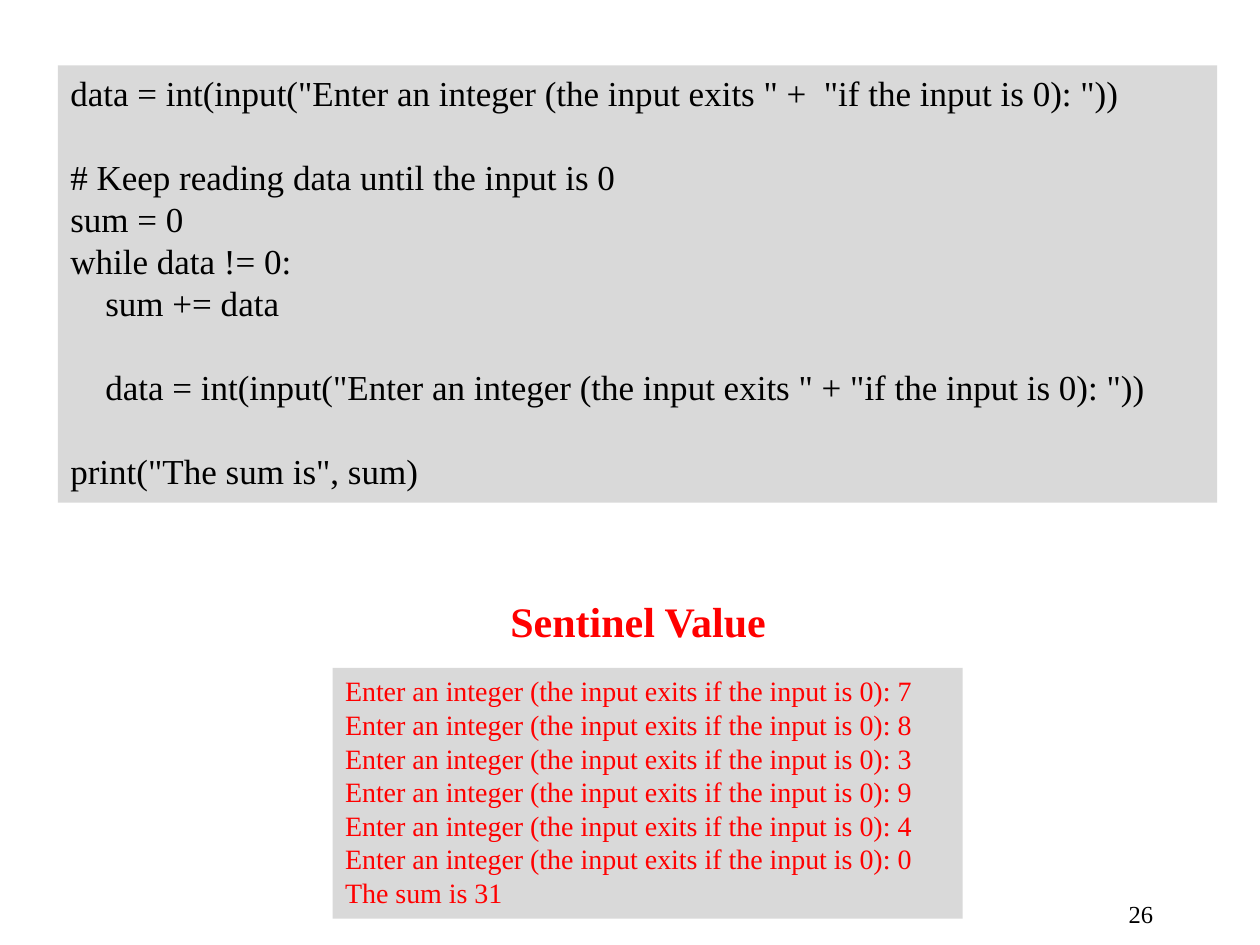
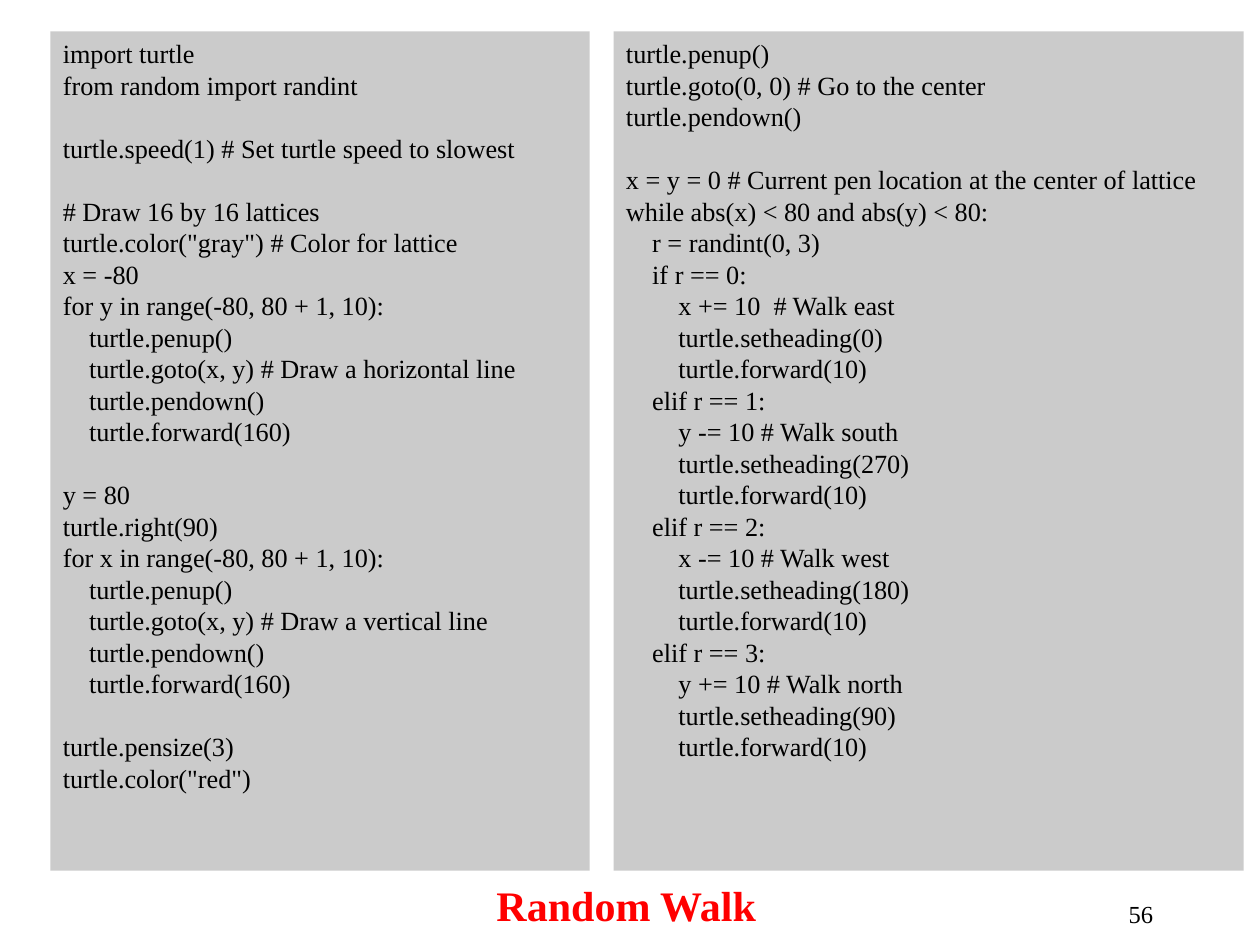
"""Build two code slides: a sentinel-controlled loop and a random walk."""
from pptx import Presentation
from pptx import util as u
from pptx.dml.color import RGBColor
from pptx.enum import shapes, text

COLORS = {"ink": "000000", "accent": "FF0000", "light": "D9D9D9", "gray": "CBCBCB"}
FONT = "Times New Roman"
WIDTH, HEIGHT = u.Inches(10), u.Inches(7.5)
COLS, ROWS = 100, 75
LEADING = 1.2
TAB = 4

PROMPT = "Enter an integer (the input exits if the input is 0): "
SENTINEL_OUTPUT = "\n".join([PROMPT + n for n in "783940"] + ["The sum is 31"])

SENTINEL_CODE = '''data = int(input("Enter an integer (the input exits " +  "if the input is 0): "))

# Keep reading data until the input is 0
sum = 0
while data != 0:
    sum += data

    data = int(input("Enter an integer (the input exits " + "if the input is 0): "))

print("The sum is", sum)'''

LATTICE_CODE = '''import turtle
from random import randint

turtle.speed(1) # Set turtle speed to slowest

# Draw 16 by 16 lattices
turtle.color("gray") # Color for lattice
x = -80
for y in range(-80, 80 + 1, 10):
    turtle.penup()
    turtle.goto(x, y) # Draw a horizontal line
    turtle.pendown()
    turtle.forward(160)

y = 80
turtle.right(90)
for x in range(-80, 80 + 1, 10):
    turtle.penup()
    turtle.goto(x, y) # Draw a vertical line
    turtle.pendown()
    turtle.forward(160)

turtle.pensize(3)
turtle.color("red")'''

WALK_CODE = '''turtle.penup()
turtle.goto(0, 0) # Go to the center
turtle.pendown()

x = y = 0 # Current pen location at the center of lattice
while abs(x) < 80 and abs(y) < 80:
    r = randint(0, 3)
    if r == 0:
        x += 10  # Walk east
        turtle.setheading(0)
        turtle.forward(10)
    elif r == 1:
        y -= 10 # Walk south
        turtle.setheading(270)
        turtle.forward(10)
    elif r == 2:
        x -= 10 # Walk west
        turtle.setheading(180)
        turtle.forward(10)
    elif r == 3:
        y += 10 # Walk north
        turtle.setheading(90)
        turtle.forward(10)'''


def grid(col, row, cols, rows):
    """Turn a box in grid units into slide lengths."""
    return (round(col * WIDTH / COLS), round(row * HEIGHT / ROWS),
            round(cols * WIDTH / COLS), round(rows * HEIGHT / ROWS))


def color(name):
    """Look up a named colour."""
    return RGBColor.from_string(COLORS[name])


def style(p, size, ink, align, bold=False):
    """Format one paragraph."""
    p.alignment = align
    p.line_spacing = u.Pt(size * LEADING)
    p.font.name, p.font.size, p.font.bold = FONT, u.Pt(size), bold
    p.font.color.rgb = color(ink)


def set_frame(tf, anchor, wrap):
    """Give a text frame the shared insets and behaviour."""
    tf.word_wrap, tf.vertical_anchor = wrap, anchor
    tf.auto_size = text.MSO_AUTO_SIZE.NONE
    tf.margin_left = tf.margin_right = u.Inches(0.1)
    tf.margin_top = tf.margin_bottom = u.Inches(0.05)


def add_panel(s, box, code, size, fill, ink="ink"):
    """Add a filled panel of code, with indents and gaps as paragraph format."""
    sp = s.shapes.add_shape(shapes.MSO_SHAPE.RECTANGLE, *grid(*box))
    sp.shadow.inherit = False
    sp.fill.solid()
    sp.fill.fore_color.rgb = color(fill)
    sp.line.fill.background()
    tf = sp.text_frame
    set_frame(tf, text.MSO_ANCHOR.TOP, True)
    p, gap = tf.paragraphs[0], 0
    for line in code.split("\n"):
        if not line:
            gap += 1
            continue
        if p.text:
            p = tf.add_paragraph()
        p.text = line.lstrip()
        style(p, size, ink, text.PP_ALIGN.LEFT)
        p.space_before = u.Pt(gap * size * LEADING)
        depth = (len(line) - len(p.text)) // TAB
        p._p.get_or_add_pPr().set("marL", str(u.Pt(depth * size)))
        gap = 0


def add_slide(prs, title, title_box, number):
    """Add a slide with its title and number."""
    s = prs.slides.add_slide(prs.slide_layouts[5])
    sp = s.shapes.title
    sp.left, sp.top, sp.width, sp.height = grid(*title_box)
    set_frame(sp.text_frame, text.MSO_ANCHOR.TOP, False)
    sp.text_frame.text = title
    style(sp.text_frame.paragraphs[0], 24, "accent", text.PP_ALIGN.CENTER, True)
    tf = s.shapes.add_textbox(*grid(71.7, 70, 20.8, 5)).text_frame
    set_frame(tf, text.MSO_ANCHOR.MIDDLE, True)
    tf.text = str(number)
    style(tf.paragraphs[0], 14, "ink", text.PP_ALIGN.RIGHT)
    return s


def build_sentinel(prs):
    """Build the sentinel slide: code above, sample run below."""
    s = add_slide(prs, "Sentinel Value", (39.4, 46.8, 22.5, 5.1), 26)
    add_panel(s, (26.4, 53, 50, 19.9), SENTINEL_OUTPUT, 16, "light", "accent")
    add_panel(s, (4.6, 5.2, 92, 34.7), SENTINEL_CODE, 20, "light")


def build_walk(prs):
    """Build the random walk slide: two code panels side by side."""
    s = add_slide(prs, "Random Walk", (38.3, 69.3, 22.8, 5.1), 56)
    for col, cols, code in ((4, 42.8, LATTICE_CODE), (48.7, 50, WALK_CODE)):
        add_panel(s, (col, 2.5, cols, 66.6), code, 15, "gray")


def main():
    """Build and save the deck."""
    prs = Presentation()
    prs.slide_width, prs.slide_height = WIDTH, HEIGHT
    build_sentinel(prs)
    build_walk(prs)
    prs.save("out.pptx")


if __name__ == "__main__":
    main()
